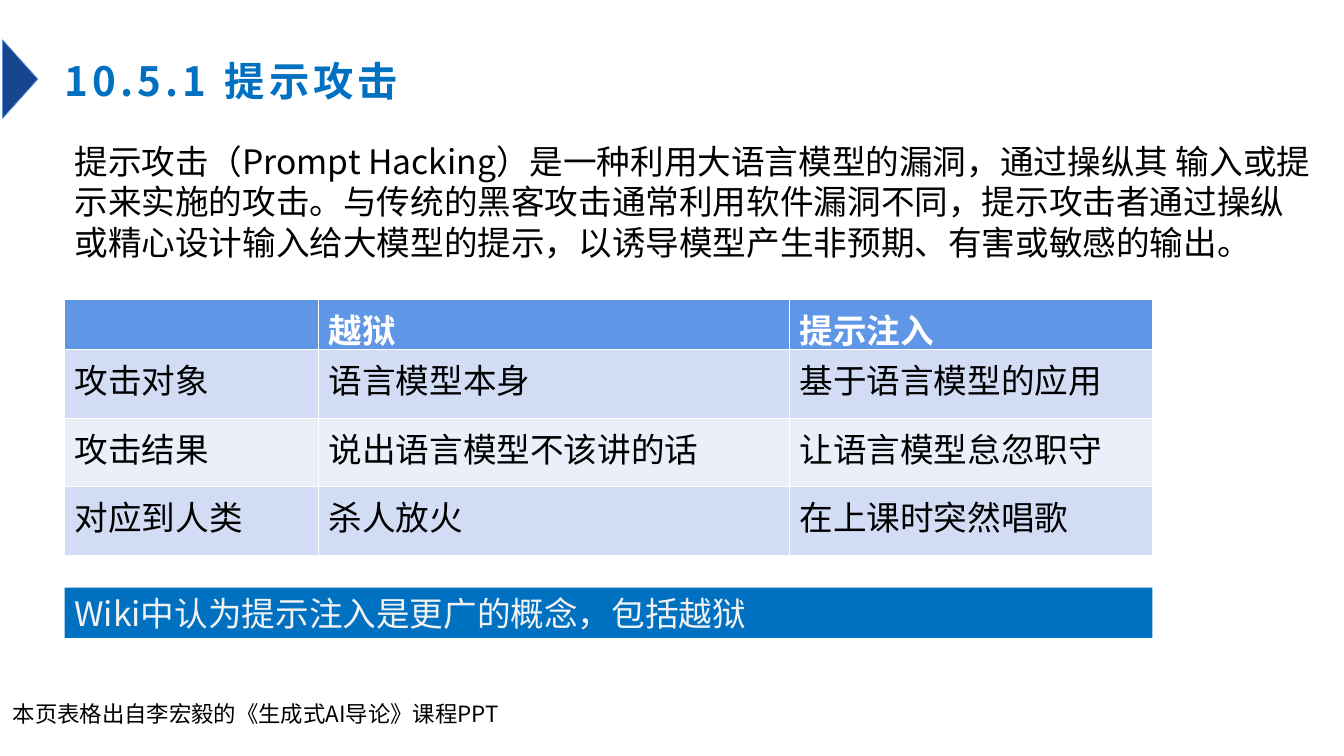
"""Build the slide on prompt hacking with its comparison table."""
from pptx import Presentation
from pptx.dml.color import RGBColor
from pptx.enum.shapes import MSO_SHAPE
from pptx.enum.text import MSO_ANCHOR, PP_ALIGN
from pptx.oxml.ns import qn
from pptx.util import Inches, Pt
from lxml import etree

TRIANGLE = MSO_SHAPE.ISOSCELES_TRIANGLE
RECTANGLE = MSO_SHAPE.RECTANGLE
TOP = MSO_ANCHOR.TOP
MIDDLE = MSO_ANCHOR.MIDDLE
LEFT = PP_ALIGN.LEFT

NAVY = RGBColor(0x16, 0x46, 0x8D)
BLUE = RGBColor(0x00, 0x70, 0xC0)
HEADER_BLUE = RGBColor(0x60, 0x96, 0xE6)
BAND_DARK = RGBColor(0xD2, 0xDD, 0xF5)
BAND_LIGHT = RGBColor(0xEA, 0xEF, 0xFA)
WHITE = RGBColor(0xFF, 0xFF, 0xFF)
OFF_WHITE = RGBColor(0xF2, 0xF2, 0xF2)
BLACK = RGBColor(0x00, 0x00, 0x00)
CJK_FONT = "Noto Sans CJK SC"
MARGIN = Inches(0.64)
TABLE_WIDTH = Inches(10.79)


def write(text_frame, text, size, color, bold=False, font_name=CJK_FONT):
    text_frame.text = text
    paragraph = text_frame.paragraphs[0]
    paragraph.alignment = LEFT
    for run in paragraph.runs:
        run.font.size = Pt(size)
        run.font.bold = bold
        run.font.color.rgb = color
        run.font.name = font_name
        properties = run._r.get_or_add_rPr()
        etree.SubElement(properties, qn("a:ea"), typeface=CJK_FONT)


def add_text(left, top, width, height, text, size, color, bold=False):
    text_box = slide.shapes.add_textbox(left, top, width, height)
    text_box.text_frame.word_wrap = True
    write(text_box.text_frame, text, size, color, bold)
    return text_box.text_frame


presentation = Presentation()
presentation.slide_width = Inches(13.33)
presentation.slide_height = Inches(7.5)
slide = presentation.slides.add_slide(presentation.slide_layouts[6])

marker = slide.shapes.add_shape(
    TRIANGLE, Inches(-0.19), Inches(0.61), Inches(0.78), Inches(0.35))
marker.rotation = 90
marker.shadow.inherit = False
marker.fill.solid()
marker.fill.fore_color.rgb = NAVY
marker.line.color.rgb = HEADER_BLUE
marker.line.width = Pt(0.5)

title = add_text(MARGIN, Inches(0.54), Inches(7.3), Inches(0.5),
                 "10.5.1 提示攻击", 28.8, BLUE, True)
title.vertical_anchor = MIDDLE
title.margin_left = title.margin_right = title.margin_bottom = 0
title.margin_top = Inches(0.02)
title.paragraphs[0].runs[0]._r.get_or_add_rPr().set("spc", "300")

add_text(MARGIN, Inches(1.35), Inches(12.46), Inches(1.31),
         "提示攻击（Prompt Hacking）是一种利用大语言模型的漏洞，通过操纵其 输入或"
         "提示来实施的攻击。与传统的黑客攻击通常利用软件漏洞不同，提示攻击者通过操"
         "纵或精心设计输入给大模型的提示，以诱导模型产生非预期、有害或敏感的输出。",
         24, BLACK)

comparison = [
    ["", "越狱", "提示注入"],
    ["攻击对象", "语言模型本身", "基于语言模型的应用"],
    ["攻击结果", "说出语言模型不该讲的话", "让语言模型怠忽职守"],
    ["对应到人类", "杀人放火", "在上课时突然唱歌"],
]
table = slide.shapes.add_table(
    4, 3, MARGIN, Inches(2.97), TABLE_WIDTH, Inches(2.55)).table
for column, width in zip(table.columns, [2.52, 4.67, 3.6]):
    column.width = Inches(width)
for row_index, labels in enumerate(comparison):
    is_header = row_index == 0
    table.rows[row_index].height = Inches(0.44 if is_header else 0.68)
    band = BAND_DARK if row_index % 2 else BAND_LIGHT
    for column_index, label in enumerate(labels):
        cell = table.cell(row_index, column_index)
        cell.vertical_anchor = TOP
        cell.fill.solid()
        cell.fill.fore_color.rgb = HEADER_BLUE if is_header else band
        if label:
            write(cell.text_frame, label, 24,
                  WHITE if is_header else BLACK, is_header, "Arial")

add_text(Inches(0.03), Inches(6.9), Inches(9), Inches(0.37),
         "本页表格出自李宏毅的《生成式AI导论》课程PPT", 16, BLACK)

note = slide.shapes.add_shape(
    RECTANGLE, MARGIN, Inches(5.83), TABLE_WIDTH, Inches(0.5))
note.shadow.inherit = False
note.fill.solid()
note.fill.fore_color.rgb = BLUE
note.line.fill.background()
note.text_frame.word_wrap = True
note.text_frame.vertical_anchor = TOP
write(note.text_frame, "Wiki中认为提示注入是更广的概念，包括越狱", 24, OFF_WHITE)

presentation.save("out.pptx")
